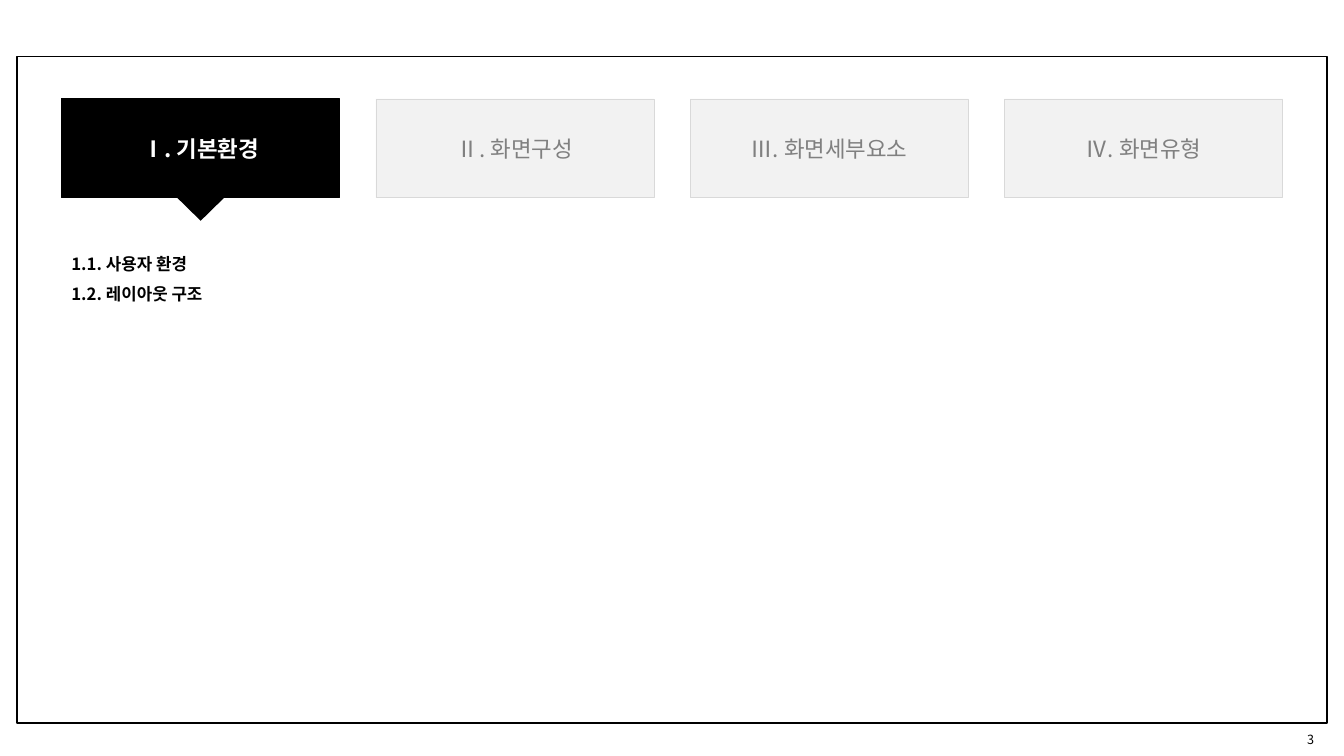
from lxml import etree
from pptx import Presentation
from pptx.dml.color import RGBColor
from pptx.enum.shapes import MSO_SHAPE
from pptx.enum.text import MSO_ANCHOR, PP_ALIGN
from pptx.oxml.ns import qn
from pptx.util import Inches, Pt

RECT, TRIANGLE = MSO_SHAPE.RECTANGLE, MSO_SHAPE.ISOSCELES_TRIANGLE
TOP, MIDDLE = MSO_ANCHOR.TOP, MSO_ANCHOR.MIDDLE
LEFT, CENTER, RIGHT = PP_ALIGN.LEFT, PP_ALIGN.CENTER, PP_ALIGN.RIGHT

# Content
FONT = "Noto Sans CJK KR"
CHAPTERS = ["Ⅰ. 기본환경", "Ⅱ. 화면구성", "Ⅲ. 화면세부요소", "Ⅳ. 화면유형"]
ACTIVE = 0
SECTIONS = ["1.1. 사용자 환경", "1.2. 레이아웃 구조"]
PAGE_NUMBER = "3"

# Layout in inches
TAB_LEFT, TAB_TOP, TAB_W, TAB_H, TAB_STEP = 0.61, 0.98, 2.76, 0.98, 3.117
POINTER_W, POINTER_H, POINTER_TOP = 0.53, 0.26, 1.93

prs = Presentation()
prs.slide_width, prs.slide_height = Inches(13.33), Inches(7.5)
s = prs.slides.add_slide(prs.slide_layouts[6])


def rgb(value):
    return RGBColor.from_string(value)


def add_box(kind, x, y, w, h, fill=None, line=None, width=0.75):
    sp = s.shapes.add_shape(kind, Inches(x), Inches(y), Inches(w), Inches(h))
    sp.shadow.inherit = False
    if fill:
        sp.fill.solid()
        sp.fill.fore_color.rgb = rgb(fill)
    else:
        sp.fill.background()
    if line:
        sp.line.color.rgb = rgb(line)
        sp.line.width = Pt(width)
    else:
        sp.line.fill.background()
    return sp


def write(sp, lines, size=12, color="000000", bold=False, align=LEFT,
          anchor=TOP, spacing=None):
    tf = sp.text_frame
    tf.word_wrap = True
    tf.vertical_anchor = anchor
    for i, text in enumerate(lines):
        p = tf.add_paragraph() if i else tf.paragraphs[0]
        p.alignment = align
        p.line_spacing = spacing
        r = p.add_run()
        r.text = text
        r.font.size, r.font.bold, r.font.name = Pt(size), bold, FONT
        r.font.color.rgb = rgb(color)
        # Hangul takes its typeface from a:ea
        etree.SubElement(r.font._element, qn("a:ea"), typeface=FONT)


def add_text(x, y, w, h, lines, **fmt):
    sp = s.shapes.add_textbox(Inches(x), Inches(y), Inches(w), Inches(h))
    write(sp, lines, **fmt)


# Page frame and number
add_box(RECT, 0.17, 0.56, 12.99, 6.61, line="000000", width=1.3)
add_text(12.44, 7.18, 0.69, 0.31, [PAGE_NUMBER], size=9, align=RIGHT, anchor=MIDDLE)

# Chapter tabs
for i, chapter in enumerate(CHAPTERS):
    active = i == ACTIVE
    fill, line, width, color = (("000000", "000000", 0.75, "FFFFFF") if active
                                else ("F2F2F2", "D9D9D9", 0.25, "808080"))
    tab = add_box(RECT, TAB_LEFT + i * TAB_STEP, TAB_TOP, TAB_W, TAB_H,
                  fill, line, width)
    write(tab, [chapter], size=16, color=color, bold=active, align=CENTER, anchor=MIDDLE)

# Pointer and section list under the active tab
active_left = TAB_LEFT + ACTIVE * TAB_STEP
pointer = add_box(TRIANGLE, active_left + (TAB_W - POINTER_W) / 2, POINTER_TOP,
                  POINTER_W, POINTER_H, "000000")
pointer.rotation = 180
add_text(active_left, 2.37, TAB_W, 0.67, SECTIONS, bold=True, spacing=1.5)

prs.save("out.pptx")
